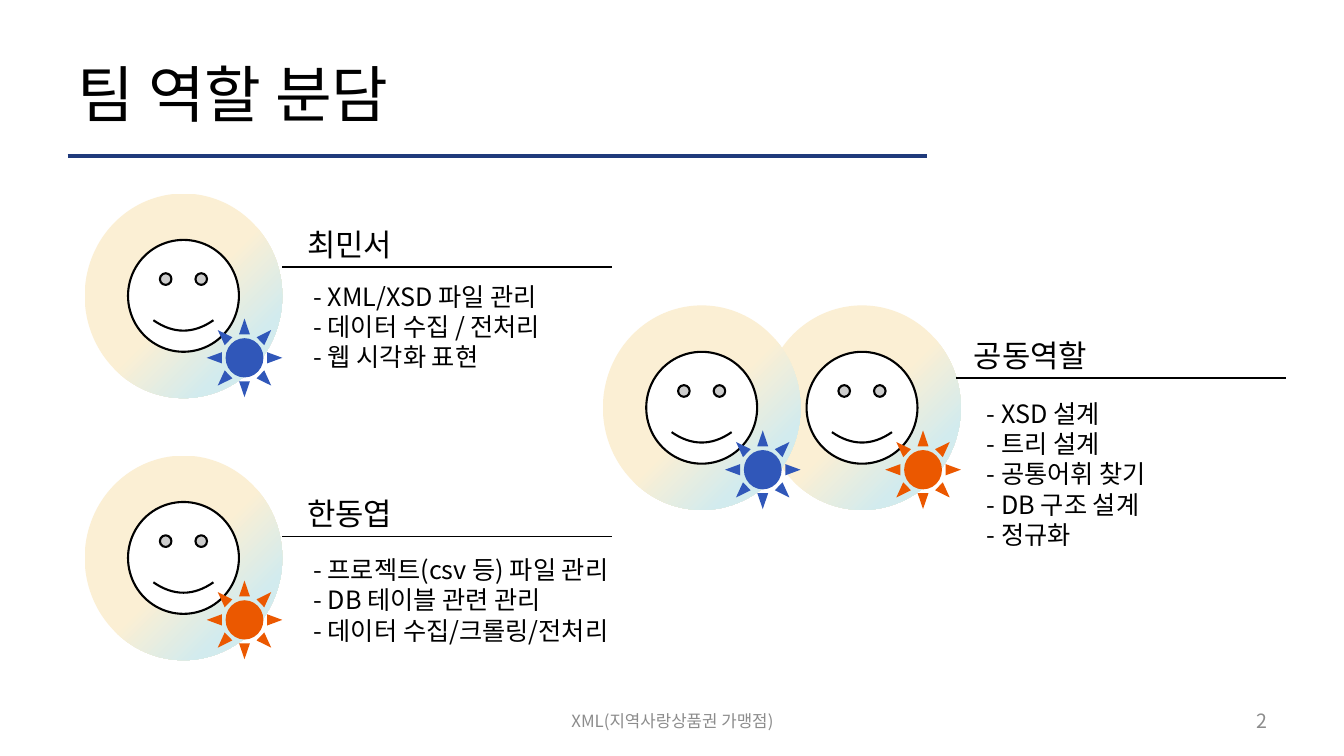
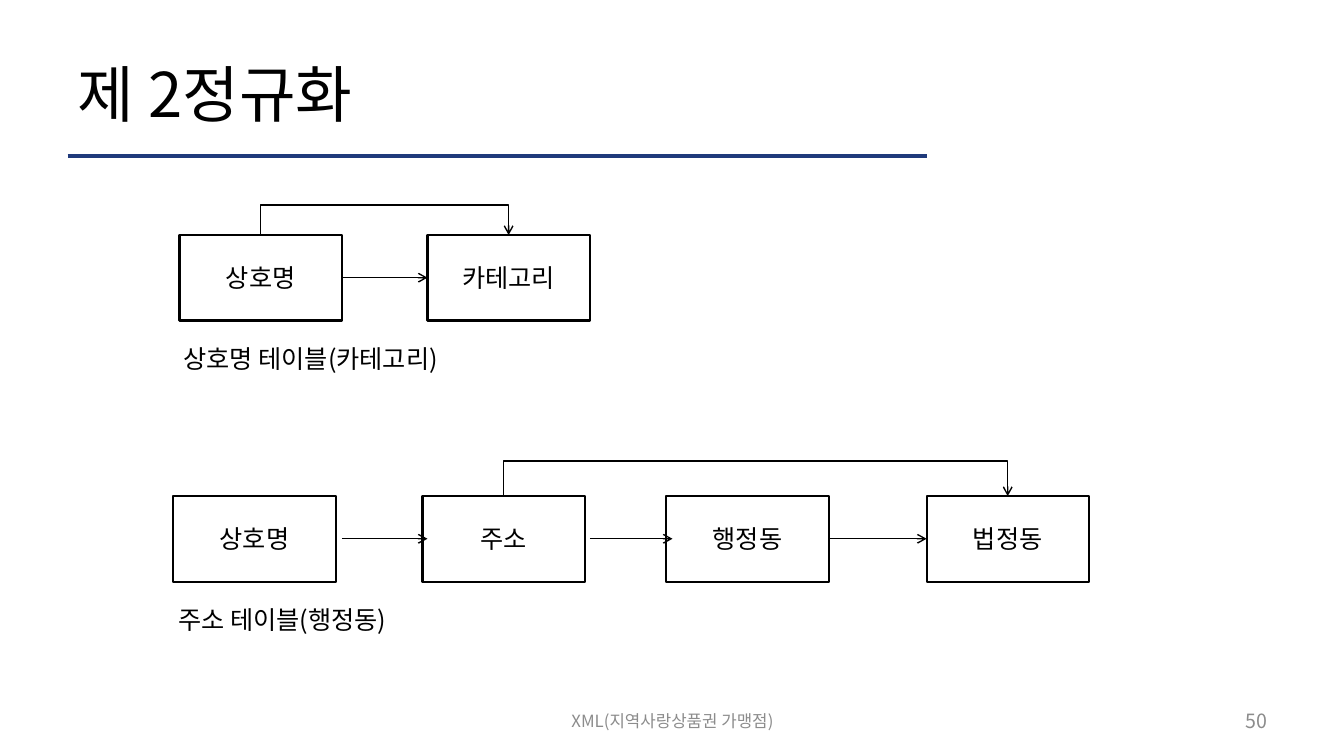
from dataclasses import dataclass

from lxml import etree
from pptx import Presentation
from pptx.dml.color import RGBColor
from pptx.enum.shapes import MSO_CONNECTOR, MSO_SHAPE
from pptx.enum.text import MSO_ANCHOR, MSO_AUTO_SIZE, PP_ALIGN
from pptx.oxml.ns import qn
from pptx.shapes.autoshape import Shape
from pptx.shapes.connector import Connector
from pptx.slide import Slide
from pptx.text.text import TextFrame
from pptx.util import Inches, Pt

STRAIGHT, ELBOW = MSO_CONNECTOR.STRAIGHT, MSO_CONNECTOR.ELBOW
ELLIPSE, SMILEY = MSO_SHAPE.OVAL, MSO_SHAPE.SMILEY_FACE
SUN, RECTANGLE = MSO_SHAPE.SUN, MSO_SHAPE.RECTANGLE
TOP, MIDDLE = MSO_ANCHOR.TOP, MSO_ANCHOR.MIDDLE
LEFT, CENTER, RIGHT = PP_ALIGN.LEFT, PP_ALIGN.CENTER, PP_ALIGN.RIGHT
NO_FIT, GROW = MSO_AUTO_SIZE.NONE, MSO_AUTO_SIZE.SHAPE_TO_FIT_TEXT
SIDE_TOP, SIDE_LEFT, SIDE_RIGHT = 0, 1, 3

FONT = "Noto Sans CJK KR"
BLACK = RGBColor(0x00, 0x00, 0x00)
WHITE = RGBColor(0xFF, 0xFF, 0xFF)
GRAY = RGBColor(0x8C, 0x8C, 0x8C)
NAVY = RGBColor(0x20, 0x3A, 0x7B)
BLUE = RGBColor(0x30, 0x57, 0xB9)
ORANGE = RGBColor(0xEB, 0x58, 0x00)
CREAM = RGBColor(0xFB, 0xEF, 0xD4)
AQUA = RGBColor(0xD2, 0xEB, 0xEE)
HALO_STOPS = ((0, CREAM), (51, CREAM), (79, AQUA))

FOOTER = "XML(지역사랑상품권 가맹점)"
BOX_WIDTH, BOX_HEIGHT = 1.61, 0.85
ELBOW_DEPTH = 0.002


@dataclass(frozen=True)
class Area:
    left: float
    top: float
    width: float
    height: float

    def lengths(self) -> tuple[int, int, int, int]:
        return (Inches(self.left), Inches(self.top),
                Inches(self.width), Inches(self.height))


@dataclass(frozen=True)
class Figure:
    left: float
    top: float
    sun_color: RGBColor


@dataclass(frozen=True)
class Role:
    name: str
    name_left: float
    name_width: float
    rule_left: float
    rule_top: float
    duty_area: Area
    duties: tuple[str, ...]


@dataclass(frozen=True)
class Chain:
    top: float
    boxes: tuple[tuple[str, float], ...]
    elbow: tuple[int, int]
    elbow_rise: float
    joined: tuple[tuple[int, int], ...]
    loose: tuple[tuple[float, float], ...]
    caption: str
    caption_area: Area


FIGURES = (
    Figure(0.84, 1.92, BLUE),
    Figure(0.84, 4.52, ORANGE),
    Figure(7.57, 3.03, ORANGE),
    Figure(5.98, 3.03, BLUE),
)
ROLES = (
    Role("최민서", 2.95, 1.07, 2.8, 2.65, Area(3.01, 2.74, 2.58, 0.99),
         ("- XML/XSD 파일 관리", "- 데이터 수집 / 전처리", "- 웹 시각화 표현")),
    Role("한동엽", 2.95, 1.07, 2.8, 5.32, Area(3.01, 5.45, 3.25, 0.99),
         ("- 프로젝트(csv 등) 파일 관리", "- DB 테이블 관련 관리",
          "- 데이터 수집/크롤링/전처리")),
    Role("공동역할", 9.56, 1.35, 9.48, 3.75, Area(9.69, 3.9, 2.01, 1.59),
         ("- XSD 설계", "- 트리 설계", "- 공통어휘 찾기", "- DB 구조 설계",
          "- 정규화")),
)
CHAINS = (
    Chain(2.33, (("상호명", 1.78), ("카테고리", 4.24)),
          (0, 1), 0.3, ((0, 1),), (),
          "상호명 테이블(카테고리)", Area(1.72, 3.36, 2.83, 0.39)),
    Chain(4.92, (("상호명", 1.72), ("주소", 4.19), ("행정동", 6.61),
                 ("법정동", 9.19)),
          (1, 3), 0.35, ((2, 3),), ((3.39, 4.24), (5.85, 6.67)),
          "주소 테이블(행정동)", Area(1.67, 5.95, 2.36, 0.39)),
)


def write_text(frame: TextFrame, lines: tuple[str, ...], size: float,
               color: RGBColor = BLACK, align: PP_ALIGN = LEFT,
               anchor: MSO_ANCHOR = MIDDLE) -> None:
    frame.word_wrap = True
    frame.vertical_anchor = anchor
    frame.text = "\n".join(lines)
    for paragraph in frame.paragraphs:
        paragraph.alignment = align
        paragraph.font.size = Pt(size)
        paragraph.font.color.rgb = color
        paragraph.font.name = FONT
        # Korean glyphs take the East Asian font
        defaults = paragraph._p.pPr.find(qn("a:defRPr"))
        etree.SubElement(defaults, qn("a:ea"), typeface=FONT)


def add_text(slide: Slide, area: Area, lines: tuple[str, ...], size: float,
             color: RGBColor = BLACK, align: PP_ALIGN = LEFT,
             anchor: MSO_ANCHOR = TOP, fit: MSO_AUTO_SIZE = GROW) -> None:
    frame = slide.shapes.add_textbox(*area.lengths()).text_frame
    write_text(frame, lines, size, color, align, anchor)
    frame.auto_size = fit


def add_shape(slide: Slide, kind: MSO_SHAPE, area: Area,
              fill: RGBColor | None, outlined: bool = False) -> Shape:
    shape = slide.shapes.add_shape(kind, *area.lengths())
    shape.shadow.inherit = False
    if fill is not None:
        shape.fill.solid()
        shape.fill.fore_color.rgb = fill
    if outlined:
        shape.line.color.rgb = BLACK
        shape.line.width = Pt(1.5)
    else:
        shape.line.fill.background()
    return shape


def add_line(slide: Slide, start: tuple[float, float],
             end: tuple[float, float], color: RGBColor = BLACK,
             width: float = 1, arrow: bool = False,
             kind: MSO_CONNECTOR = STRAIGHT) -> Connector:
    points = [Inches(value) for value in (*start, *end)]
    connector = slide.shapes.add_connector(kind, *points)
    connector.line.color.rgb = color
    connector.line.width = Pt(width)
    if arrow:
        line = connector.line._get_or_add_ln()
        etree.SubElement(line, qn("a:tailEnd"), type="arrow")
    etree.SubElement(connector._element.spPr, qn("a:effectLst"))
    return connector


def add_elbow(slide: Slide, first: Shape, last: Shape, start_x: float,
              end_x: float, top: float, rise: float) -> None:
    """Lead an arrow up from one box and down onto another."""
    connector = add_line(slide, (start_x, top), (end_x, top), arrow=True,
                         kind=ELBOW)
    connector.begin_connect(first, SIDE_TOP)
    connector.end_connect(last, SIDE_TOP)
    # A thin upright frame, turned a quarter, bends above both boxes
    span = end_x - start_x
    connector.left = Inches((start_x + end_x - ELBOW_DEPTH) / 2)
    connector.top = Inches(top - span / 2)
    connector.width, connector.height = Inches(ELBOW_DEPTH), Inches(span)
    properties = connector._element.spPr
    frame = properties.find(qn("a:xfrm"))
    frame.set("rot", "5400000")
    frame.set("flipV", "1")
    guides = properties.find(qn("a:prstGeom")).find(qn("a:avLst"))
    bend = round(-rise / ELBOW_DEPTH * 100000)
    etree.SubElement(guides, qn("a:gd"), name="adj1", fmla=f"val {bend}")


def add_base_slide(presentation: Presentation, title: str,
                   number: str) -> Slide:
    """Add a slide with the title, its rule and the footer."""
    slide = presentation.slides.add_slide(presentation.slide_layouts[5])
    add_line(slide, (0.67, 1.55), (9.19, 1.55), NAVY, 3)
    heading = slide.shapes.title
    (heading.left, heading.top,
     heading.width, heading.height) = Area(0.67, 0.3, 12, 1.25).lengths()
    write_text(heading.text_frame, (title,), 44)
    heading.text_frame.auto_size = NO_FIT
    add_text(slide, Area(4.56, 6.95, 4.22, 0.4), (FOOTER,), 12, GRAY,
             CENTER, MIDDLE, NO_FIT)
    add_text(slide, Area(9.56, 6.95, 3.11, 0.4), (number,), 14, GRAY,
             RIGHT, MIDDLE, NO_FIT)
    return slide


def add_figure(slide: Slide, figure: Figure) -> None:
    left, top = figure.left, figure.top
    halo = add_shape(slide, ELLIPSE, Area(left, top, 1.96, 2.03), None)
    halo.fill.gradient()
    halo.fill.gradient_angle = 315
    stops = halo._element.spPr.find(qn("a:gradFill")).find(qn("a:gsLst"))
    for stop in list(stops):
        stops.remove(stop)
    for position, color in HALO_STOPS:
        stop = etree.SubElement(stops, qn("a:gs"), pos=str(position * 1000))
        etree.SubElement(stop, qn("a:srgbClr"), val=str(color))
    face = add_shape(slide, SMILEY, Area(left + 0.43, top + 0.46, 1.1, 1.11),
                     WHITE, outlined=True)
    face.adjustments[0] = 0.047
    add_shape(slide, SUN, Area(left + 1.21, top + 1.24, 0.75, 0.78),
              figure.sun_color)


def add_role(slide: Slide, role: Role) -> None:
    add_line(slide, (role.rule_left, role.rule_top),
             (role.rule_left + 3.27, role.rule_top))
    add_text(slide, Area(role.name_left, role.rule_top - 0.46,
                         role.name_width, 0.46), (role.name,), 22)
    add_text(slide, role.duty_area, role.duties, 18)


def add_chain(slide: Slide, chain: Chain) -> None:
    boxes = []
    for label, left in chain.boxes:
        box = add_shape(slide, RECTANGLE,
                        Area(left, chain.top, BOX_WIDTH, BOX_HEIGHT),
                        WHITE, outlined=True)
        write_text(box.text_frame, (label,), 18, align=CENTER)
        boxes.append(box)
    lefts = [left for _, left in chain.boxes]
    middle = chain.top + BOX_HEIGHT / 2

    # Arrows between neighbours
    for first, last in chain.joined:
        arrow = add_line(slide, (lefts[first] + BOX_WIDTH, middle),
                         (lefts[last], middle), arrow=True)
        arrow.begin_connect(boxes[first], SIDE_RIGHT)
        arrow.end_connect(boxes[last], SIDE_LEFT)
    for start_x, end_x in chain.loose:
        add_line(slide, (start_x, middle), (end_x, middle), arrow=True)

    # Arrow over the top
    first, last = chain.elbow
    add_elbow(slide, boxes[first], boxes[last], lefts[first] + BOX_WIDTH / 2,
              lefts[last] + BOX_WIDTH / 2, chain.top, chain.elbow_rise)
    add_text(slide, chain.caption_area, (chain.caption,), 18)


def main() -> None:
    presentation = Presentation()
    presentation.slide_width = Inches(13.33)
    presentation.slide_height = Inches(7.5)

    # Team roles
    slide = add_base_slide(presentation, "팀 역할 분담", "2")
    for figure in FIGURES:
        add_figure(slide, figure)
    for role in ROLES:
        add_role(slide, role)

    # Second normal form
    slide = add_base_slide(presentation, "제 2정규화", "50")
    for chain in CHAINS:
        add_chain(slide, chain)

    presentation.save("out.pptx")


if __name__ == "__main__":
    main()
